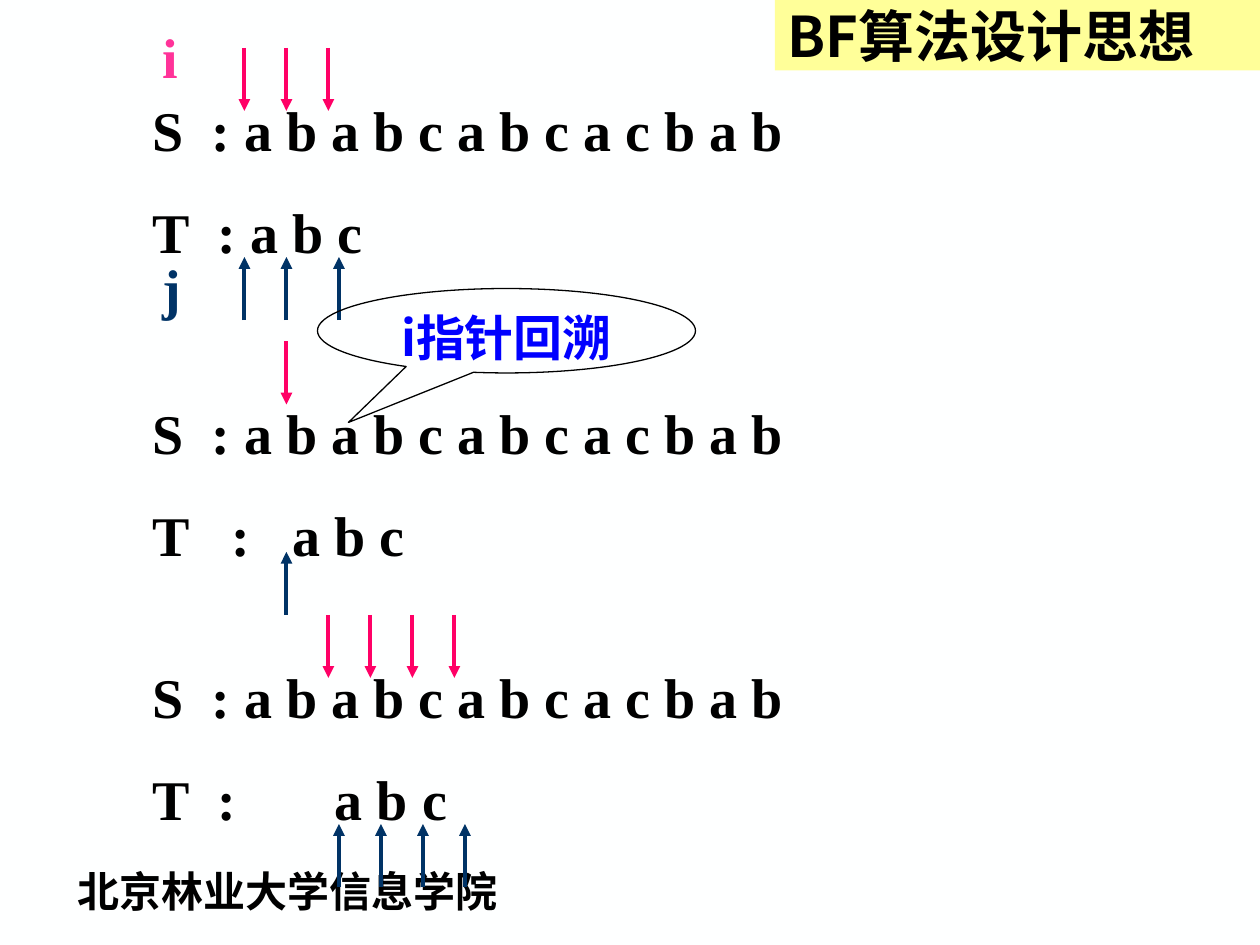
"""Build the slide on the idea of brute-force string matching."""
from lxml import etree
from pptx import Presentation
from pptx.dml.color import RGBColor
from pptx.enum.shapes import MSO_CONNECTOR, MSO_SHAPE
from pptx.enum.text import MSO_ANCHOR, MSO_AUTO_SIZE, PP_ALIGN
from pptx.oxml.ns import qn
from pptx.util import Inches, Pt

STRAIGHT = MSO_CONNECTOR.STRAIGHT
CALLOUT = MSO_SHAPE.OVAL_CALLOUT
TOP, MIDDLE = MSO_ANCHOR.TOP, MSO_ANCHOR.MIDDLE
LEFT, CENTER = PP_ALIGN.LEFT, PP_ALIGN.CENTER
NO_FIT = MSO_AUTO_SIZE.NONE

COLORS = {"paper": "FEFFFF", "ink": "000000", "i": "FF3399", "j": "003366",
          "i_arrow": "FF0066", "callout": "0000FF", "banner": "FFFF99"}
SERIF, HAN = "Times New Roman", "Noto Sans CJK SC"

TITLE = ("BF算法设计思想", (6.15, 0, 3.85, 0.56))
REMARK = ("i指针回溯", (2.52, 2.29, 3, 0.67), (-0.418, 1.086))
LABELS = [
    ("北京林业大学信息学院", (0.52, 6.82, 4.14, 0.5), 24, "ink"),
    ("i", (1.19, 0.13, 0.92, 0.64), 32, "i"),
    ("j", (1.19, 1.96, 0.5, 0.64), 32, "j"),
]
MAIN_STRING = ("S\t: a b a b c a b c a c b a b", [0.47])
STEPS = [
    (0.71, 7.92, ("T\t: a b c", [0.52])),
    (3.11, 8.42, ("T\t:\ta b c", [0.63, 1.11])),
    (5.21, 5.75, ("T\t:\ta b c", [0.52, 1.45])),
]
ARROWS = [
    ("i_arrow", 0.38, 0.88, [0, 1, 2]),
    ("j", 2.54, 2.04, [0, 1, 2.25]),
    ("i_arrow", 2.71, 3.21, [1]),
    ("j", 4.88, 4.38, [1]),
    ("i_arrow", 4.88, 5.38, [2, 3, 4, 5]),
    ("j", 7.04, 6.54, [2.25, 3.25, 4.25, 5.25]),
]
FIRST_COLUMN, COLUMN_STEP = 1.94, 1 / 3


def color(name):
    return RGBColor.from_string(COLORS[name])


def place(shape, box):
    for side, length in zip(("left", "top", "width", "height"), box):
        setattr(shape, side, Inches(length))


def write(shape, lines, size, ink, font=SERIF, align=LEFT, anchor=TOP):
    frame = shape.text_frame
    frame_format = {"word_wrap": True, "auto_size": NO_FIT, "vertical_anchor": anchor,
                    "margin_left": Inches(0.1), "margin_right": Inches(0.1),
                    "margin_top": Inches(0.05), "margin_bottom": Inches(0.05)}
    for key, value in frame_format.items():
        setattr(frame, key, value)
    for index, (words, stops) in enumerate(lines):
        paragraph = frame.add_paragraph() if index else frame.paragraphs[0]
        paragraph.alignment = align
        paragraph.space_before = Pt(20 if index else 0)
        if stops:
            tabs = etree.SubElement(paragraph._p.get_or_add_pPr(), qn("a:tabLst"))
            for stop in stops:
                etree.SubElement(tabs, qn("a:tab"), pos=str(Inches(stop)), algn="l")
        run = paragraph.add_run()
        run.text = words
        for key, value in {"name": font, "size": Pt(size), "bold": True}.items():
            setattr(run.font, key, value)
        run.font.color.rgb = color(ink)
        run.font._rPr.find(qn("a:latin")).addnext(
            etree.Element(qn("a:ea"), typeface=HAN))


def add_text(slide, lines, box, size, ink):
    write(slide.shapes.add_textbox(*map(Inches, box)), lines, size, ink)


def add_arrow(slide, x, start, end, ink):
    arrow = slide.shapes.add_connector(
        STRAIGHT, Inches(x), Inches(start), Inches(x), Inches(end))
    arrow.line.color.rgb = color(ink)
    arrow.line.width = Pt(2.25)
    etree.SubElement(arrow.line._get_or_add_ln(), qn("a:tailEnd"), type="triangle")
    etree.SubElement(arrow._element.spPr, qn("a:effectLst"))


def main():
    deck = Presentation()
    deck.slide_width, deck.slide_height = Inches(10), Inches(7.5)
    slide = deck.slides.add_slide(deck.slide_layouts[5])
    slide.background.fill.solid()
    slide.background.fill.fore_color.rgb = color("paper")

    heading, box = TITLE
    title = slide.shapes.title
    place(title, box)
    title.fill.solid()
    title.fill.fore_color.rgb = color("banner")
    write(title, [(heading, [])], 32, "ink", HAN, anchor=MIDDLE)

    for words, box, size, ink in LABELS:
        add_text(slide, [(words, [])], box, size, ink)
    for top, width, pattern in STEPS:
        add_text(slide, [MAIN_STRING, pattern], (1.11, top, width, 1.45), 32, "ink")
    for ink, start, end, columns in ARROWS:
        for column in columns:
            add_arrow(slide, FIRST_COLUMN + column * COLUMN_STEP, start, end, ink)

    words, box, tip = REMARK
    remark = slide.shapes.add_shape(CALLOUT, *map(Inches, box))
    remark.shadow.inherit = False
    remark.fill.background()
    remark.line.color.rgb = color("ink")
    remark.line.width = Pt(0.75)
    for index, offset in enumerate(tip):
        remark.adjustments[index] = offset
    write(remark, [(words, [])], 28, "callout", HAN, CENTER)

    deck.save("out.pptx")


if __name__ == "__main__":
    main()
